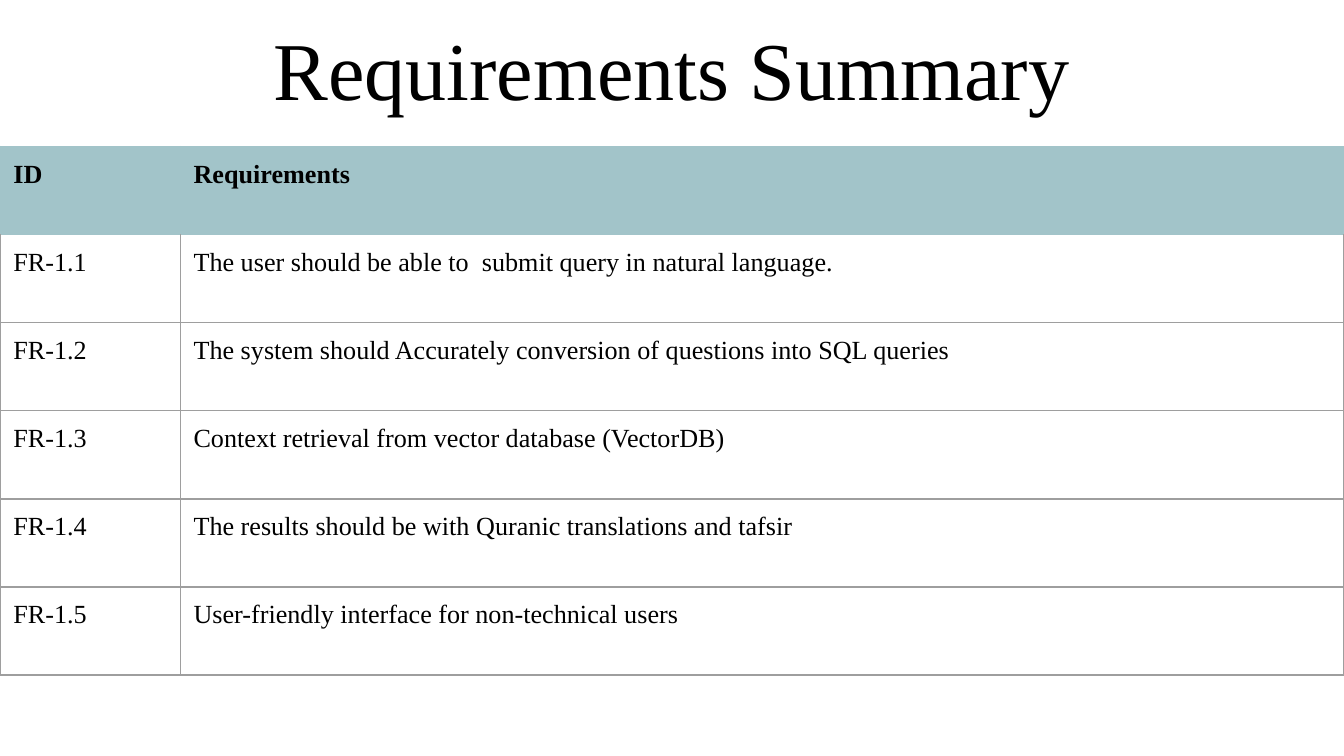
from dataclasses import dataclass

from lxml import etree
from pptx import Presentation
from pptx.dml.color import RGBColor
from pptx.enum.text import MSO_ANCHOR, PP_ALIGN
from pptx.oxml.ns import qn
from pptx.util import Pt

CENTER = PP_ALIGN.CENTER
MIDDLE = MSO_ANCHOR.MIDDLE
TOP = MSO_ANCHOR.TOP
BLANK_LAYOUT = 6


@dataclass(frozen=True)
class Theme:
    font: str = "Times New Roman"
    ink: str = "000000"
    header: str = "A2C4C9"
    grid: str = "9E9E9E"
    title_size: float = 44
    body_size: float = 14
    border_width: float = 0.75
    cell_margin: float = 7.2


class SlideBuilder:
    def __init__(self, slide, theme):
        self.slide = slide
        self.theme = theme

    def style_text(self, frame, size, bold=False):
        for paragraph in frame.paragraphs:
            for run in paragraph.runs:
                run.font.name = self.theme.font
                run.font.size = Pt(size)
                run.font.bold = bold
                run.font.color.rgb = RGBColor.from_string(self.theme.ink)

    def title(self, text, left, top, width, height):
        box = self.slide.shapes.add_textbox(Pt(left), Pt(top), Pt(width), Pt(height))
        frame = box.text_frame
        frame.word_wrap = True
        frame.vertical_anchor = MIDDLE
        frame.text = text
        frame.paragraphs[0].alignment = CENTER
        self.style_text(frame, self.theme.title_size)

    def borders(self, cell, colours):
        """Draw the left, right, top and bottom borders ahead of the cell's fill."""
        properties = cell._tc.get_or_add_tcPr()
        for index, (side, colour) in enumerate(zip("LRTB", colours)):
            line = etree.Element(qn(f"a:ln{side}"), w=str(Pt(self.theme.border_width)))
            fill = etree.SubElement(line, qn("a:solidFill"))
            etree.SubElement(fill, qn("a:srgbClr"), val=colour)
            properties.insert(index, line)

    def cell(self, cell, text, row):
        theme = self.theme
        is_header = row == 0
        cell.text = text
        cell.vertical_anchor = TOP
        cell.margin_left = cell.margin_right = Pt(theme.cell_margin)
        cell.margin_top = cell.margin_bottom = Pt(theme.cell_margin)
        self.style_text(cell.text_frame, theme.body_size, bold=is_header)
        if is_header:
            cell.fill.solid()
            cell.fill.fore_color.rgb = RGBColor.from_string(theme.header)
        else:
            cell.fill.background()
        edge = theme.header if is_header else theme.grid
        top_edge = theme.header if row <= 1 else theme.grid
        self.borders(cell, (edge, edge, top_edge, edge))

    def table(self, rows, left, top, column_widths, row_height):
        frame = self.slide.shapes.add_table(
            len(rows), len(column_widths), Pt(left), Pt(top),
            Pt(sum(column_widths)), Pt(row_height * len(rows)))
        table = frame.table
        table.horz_banding = False
        for column, width in zip(table.columns, column_widths):
            column.width = Pt(width)
        for row, texts in enumerate(rows):
            table.rows[row].height = Pt(row_height)
            for column, text in enumerate(texts):
                self.cell(table.cell(row, column), text, row)


def main():
    presentation = Presentation()
    presentation.slide_width = Pt(720)
    presentation.slide_height = Pt(405)
    slide = presentation.slides.add_slide(presentation.slide_layouts[BLANK_LAYOUT])
    builder = SlideBuilder(slide, Theme())

    # Title
    builder.title("Requirements Summary", 36, 0, 648, 72)

    # Requirements table, numbered FR-1.1 onwards
    requirements = [
        "The user should be able to  submit query in natural language.",
        "The system should Accurately conversion of questions into SQL queries",
        "Context retrieval from vector database (VectorDB)",
        "The results should be with Quranic translations and tafsir",
        "User-friendly interface for non-technical users",
    ]
    rows = [("ID", "Requirements")]
    rows += [(f"FR-1.{number}", text) for number, text in enumerate(requirements, 1)]
    builder.table(rows, 0, 78.5, (96.5, 623.5), 47.2)

    presentation.save("out.pptx")


if __name__ == "__main__":
    main()
